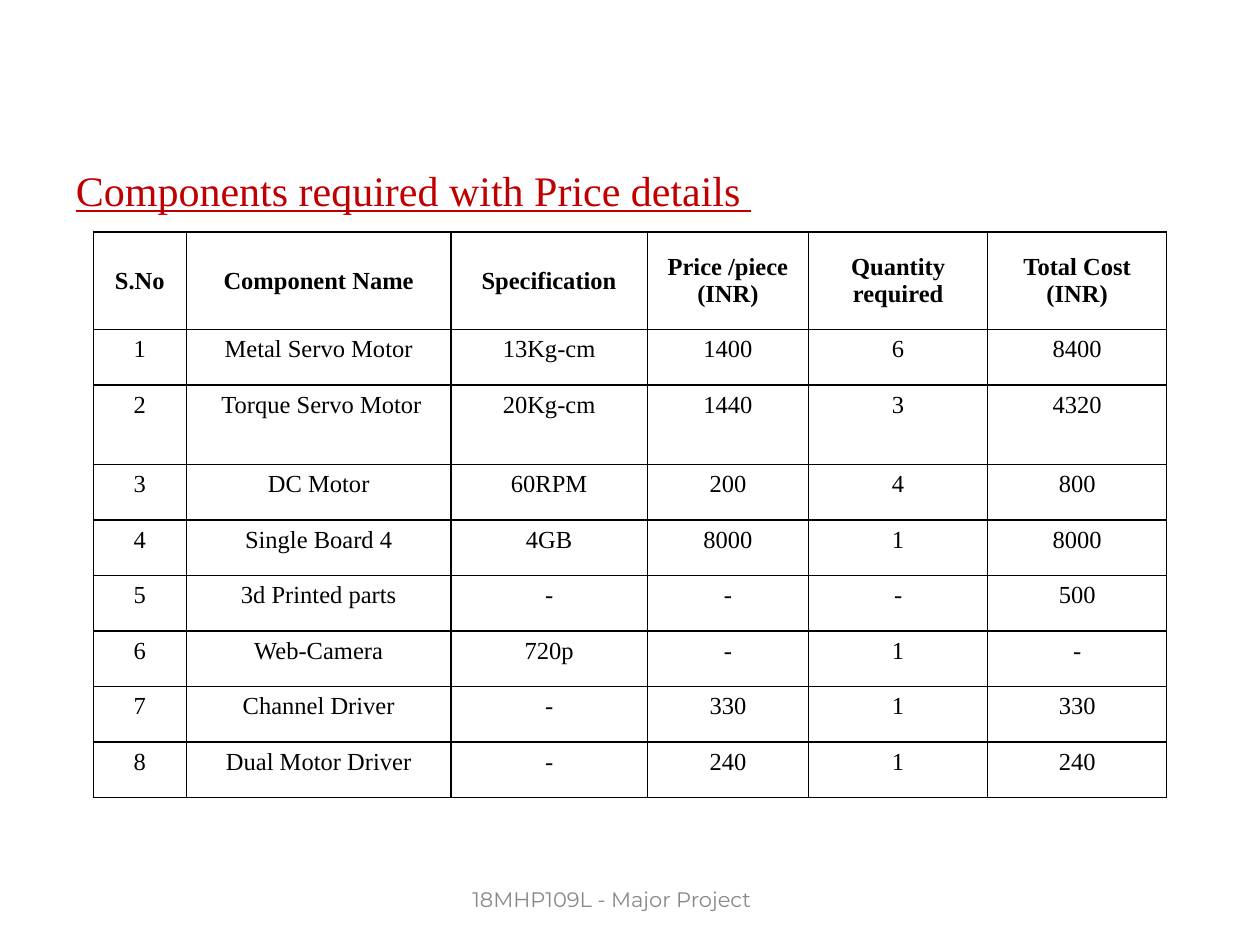
from dataclasses import astuple, dataclass

from lxml.etree import SubElement
from pptx import Presentation
from pptx.dml.color import RGBColor
from pptx.enum.text import MSO_ANCHOR as Anchor, MSO_AUTO_SIZE as AutoSize, PP_ALIGN as Align
from pptx.oxml.ns import qn
from pptx.util import Cm, Pt

SERIF = "Times New Roman"
BLACK, RED, GREY = "000000", "C00000", "888888"
INSET = Cm(0.13)
BORDER = Pt(0.96)
COLUMN_WIDTHS = [1.88, 5.33, 3.96, 3.25, 3.61, 3.61]
HEADER_HEIGHT, ROW_HEIGHT, TALL_ROW_HEIGHT = 1.96, 1.12, 1.6


@dataclass
class Component:
    name: str
    specification: str
    price: str
    quantity: str
    total: str


HEADINGS = ("S.No", "Component Name", "Specification", "Price /piece (INR)",
            "Quantity required", "Total Cost (INR)")
COMPONENTS = [
    Component("Metal Servo Motor", "13Kg-cm", "1400", "6", "8400"),
    Component(" Torque Servo Motor", "20Kg-cm", "1440", "3", "4320"),
    Component("DC Motor", "60RPM", "200", "4", "800"),
    Component("Single Board 4", "4GB", "8000", "1", "8000"),
    Component("3d Printed parts", "-", "-", "-", "500"),
    Component("Web-Camera", "720p", "-", "1", "-"),
    Component("Channel Driver", "-", "330", "1", "330"),
    Component("Dual Motor Driver", "-", "240", "1", "240"),
]


def rgb(value: str) -> RGBColor:
    return RGBColor.from_string(value)


def set_all(target, values: dict) -> None:
    for name, value in values.items():
        setattr(target, name, value)


def write(frame, text: str, color: str, align: Align, **font_values) -> None:
    paragraph = frame.paragraphs[0]
    paragraph.alignment = align
    run = paragraph.add_run()
    run.text = text
    set_all(run.font, font_values)
    run.font.color.rgb = rgb(color)


def format_box(shape, box: tuple, anchor: Anchor) -> None:
    """Place a text shape and give it the common insets."""
    set_all(shape, dict(zip(("left", "top", "width", "height"), map(Cm, box))))
    set_all(shape.text_frame, {
        "margin_left": INSET, "margin_right": INSET, "margin_top": INSET,
        "margin_bottom": INSET, "word_wrap": True, "auto_size": AutoSize.NONE,
        "vertical_anchor": anchor})


def add_borders(cell, color: str) -> None:
    properties = cell._tc.get_or_add_tcPr()
    for index, side in enumerate(("lnL", "lnR", "lnT", "lnB")):
        line = SubElement(properties, qn(f"a:{side}"), w=str(int(BORDER)))
        fill = SubElement(line, qn("a:solidFill"))
        SubElement(fill, qn("a:srgbClr"), val=color)
        properties.insert(index, line)


def fill_cell(cell, text: str, is_heading: bool) -> None:
    set_all(cell, {
        "margin_left": INSET, "margin_right": INSET, "margin_top": INSET,
        "margin_bottom": INSET,
        "vertical_anchor": Anchor.MIDDLE if is_heading else Anchor.TOP})
    cell.fill.background()
    add_borders(cell, BLACK)
    write(cell.text_frame, text, BLACK, Align.CENTER,
          name=SERIF, size=Pt(14), bold=is_heading)


def add_price_table(slide) -> None:
    rows = [HEADINGS] + [(str(number), *astuple(component))
                         for number, component in enumerate(COMPONENTS, 1)]
    heights = [HEADER_HEIGHT] + [ROW_HEIGHT] * len(COMPONENTS)
    heights[2] = TALL_ROW_HEIGHT
    table = slide.shapes.add_table(
        len(rows), len(HEADINGS), Cm(1.88), Cm(4.68),
        Cm(sum(COLUMN_WIDTHS)), Cm(sum(heights))).table
    set_all(table, {"first_row": False, "horz_banding": False})
    for column, width in zip(table.columns, COLUMN_WIDTHS):
        column.width = Cm(width)
    for index, (row, height, texts) in enumerate(zip(table.rows, heights, rows)):
        row.height = Cm(height)
        for cell, text in zip(row.cells, texts):
            fill_cell(cell, text, is_heading=index == 0)


def main() -> None:
    deck = Presentation()
    set_all(deck, {"slide_width": Cm(25.4), "slide_height": Cm(19.05)})
    slide = deck.slides.add_slide(deck.slide_layouts[5])

    title = slide.shapes.title
    format_box(title, (1.4, 2.67, 23.6, 1.78), Anchor.TOP)
    title.text_frame.paragraphs[0].line_spacing = 1.5
    write(title.text_frame, "Components required with Price details ", RED, Align.LEFT,
          name=SERIF, size=Pt(24), underline=True)

    course = slide.shapes.add_textbox(0, 0, 0, 0)
    format_box(course, (8.18, 17.75, 8.31, 0.76), Anchor.MIDDLE)
    write(course.text_frame, "18MHP109L - Major Project", GREY, Align.CENTER,
          name="Montserrat", size=Pt(12))

    add_price_table(slide)
    deck.save("out.pptx")


if __name__ == "__main__":
    main()
